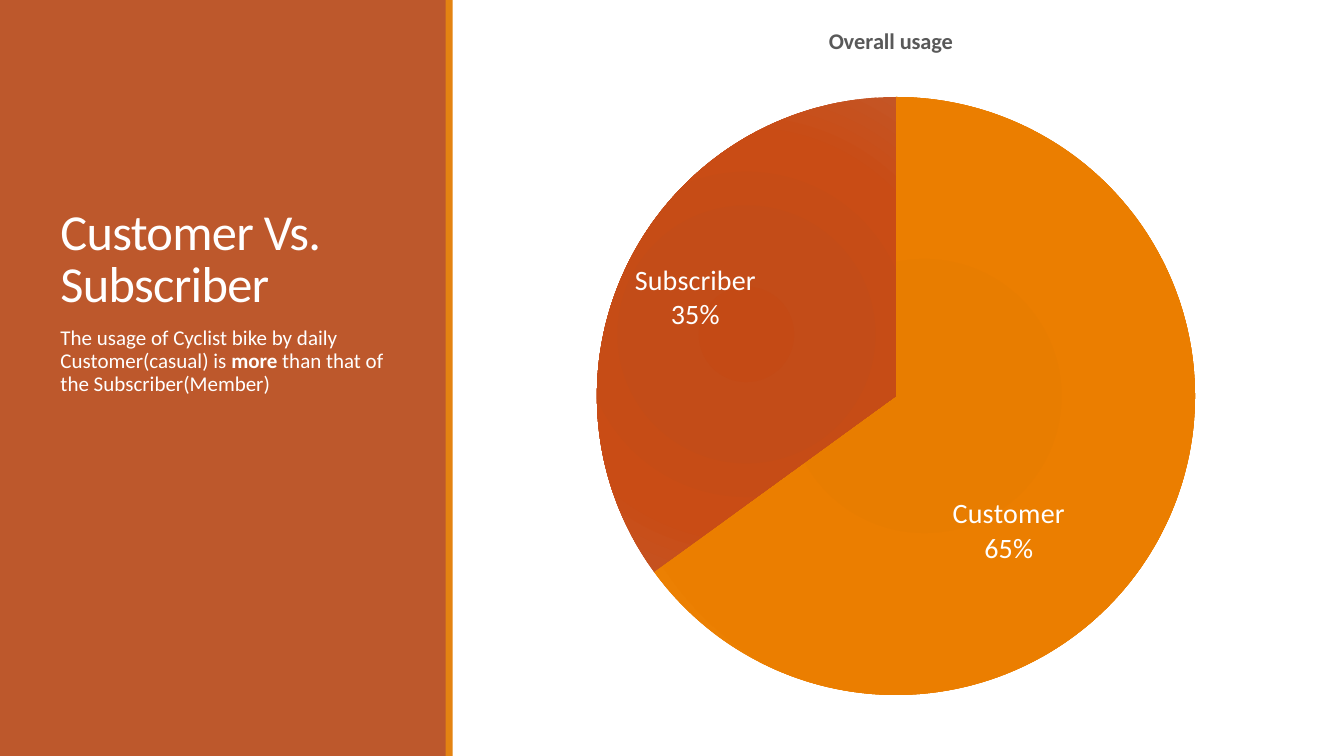
import pptx
import pptx.chart.data
import pptx.dml.color
import pptx.enum.chart
import pptx.enum.shapes
import pptx.enum.text
import pptx.oxml
import pptx.oxml.ns
import pptx.util
from pptx.util import Inches, Pt

RGBColor = pptx.dml.color.RGBColor
WHITE = RGBColor(0xFF, 0xFF, 0xFF)
RUST = RGBColor(0xBD, 0x58, 0x2C)
ORANGE = RGBColor(0xE4, 0x83, 0x12)
GRAY = RGBColor(0x59, 0x59, 0x59)
FONT = "Calibri"

TITLE = "Customer Vs. Subscriber"
BODY = [
    ("The usage of Cyclist bike by daily Customer(casual) is ", False),
    ("more", True),
    (" than that of the Subscriber(Member)", False),
]
PANELS = [(0, 4.43, RUST), (4.42, 0.07, ORANGE)]
CHART_TITLE = "Overall usage"
USAGE = {"Customer": 65, "Subscriber": 35}
STOPS = (0, 34, 70, 100)
SLICE_COLORS = [
    ("E57B00", "E87D00", "EB7E00", "EF8407"),
    ("C44A15", "C34C18", "C94C15", "C45525"),
]


def style(font, size, color, bold=False):
    """Set the typeface, size, colour and weight of a font."""
    font.name, font.size, font.bold = FONT, Pt(size), bold
    font.color.rgb = color


def place(sp, left, top, width, height, anchor):
    """Position a placeholder and return its text frame."""
    sp.left, sp.top, sp.width, sp.height = map(Inches, (left, top, width, height))
    tf = sp.text_frame
    tf.word_wrap = True
    tf.auto_size = pptx.enum.text.MSO_AUTO_SIZE.NONE
    tf.vertical_anchor = anchor
    tf.paragraphs[0].alignment = pptx.enum.text.PP_ALIGN.LEFT
    return tf


def xml(text):
    """Parse a fragment that uses the chart and drawing namespaces."""
    tag, rest = text.split(">", 1)
    return pptx.oxml.parse_xml(f"{tag} {pptx.oxml.ns.nsdecls('a', 'c')}>{rest}")


def layout(**values):
    """Return a manual chart layout."""
    items = "".join(f'<c:{k} val="{v}"/>' for k, v in values.items())
    return xml(f"<c:layout><c:manualLayout>{items}</c:manualLayout></c:layout>")


def radial(colors):
    """Return a circular gradient fill."""
    stops = "".join(
        f'<a:gs pos="{pos * 1000}"><a:srgbClr val="{color}"/></a:gs>'
        for pos, color in zip(STOPS, colors))
    return xml(
        f'<a:gradFill><a:gsLst>{stops}</a:gsLst><a:path path="circle">'
        '<a:fillToRect l="100000" t="100000" r="100000" b="100000"/>'
        "</a:path></a:gradFill>")


def add_panels(s):
    """Draw the side panel and its stripe behind the text."""
    for left, width, color in PANELS:
        sp = s.shapes.add_shape(
            pptx.enum.shapes.MSO_SHAPE.RECTANGLE,
            Inches(left), 0, Inches(width), Inches(7.5))
        sp.shadow.inherit = False
        sp.fill.solid()
        sp.fill.fore_color.rgb = color
        sp.line.fill.background()
        s.shapes.title.element.addprevious(sp.element)


def add_text(s):
    """Fill the title and body placeholders."""
    anchor = pptx.enum.text.MSO_ANCHOR
    tf = place(s.shapes.title, 0.5, 0.65, 3.5, 2.5, anchor.BOTTOM)
    p = tf.paragraphs[0]
    p.text = TITLE
    p.line_spacing = 0.85
    style(p.runs[0].font, 36, WHITE)
    p.runs[0].font._element.set("spc", "-50")

    tf = place(s.placeholders[1], 0.5, 3.2, 3.5, 3.7, anchor.TOP)
    p = tf.paragraphs[0]
    p.line_spacing, p.space_before, p.space_after = 0.9, Pt(12), Pt(2)
    pPr = p._p.get_or_add_pPr()
    pPr.set("marL", "0")
    pPr.set("indent", "0")
    pPr.append(xml("<a:buNone></a:buNone>"))
    for text, bold in BODY:
        r = p.add_run()
        r.text = text
        style(r.font, 15, WHITE, bold)


def add_pie(s):
    """Add the usage pie with its title, gradients and labels."""
    data = pptx.chart.data.CategoryChartData()
    data.categories = list(USAGE)
    data.add_series("Series 1", list(USAGE.values()))
    chart = s.shapes.add_chart(
        pptx.enum.chart.XL_CHART_TYPE.PIE,
        Inches(4.69), 0, Inches(8.31), Inches(7.29), data).chart
    chart.font.name, chart.font.size = FONT, Pt(10)
    chart.has_legend = False

    chart.has_title = True
    p = chart.chart_title.text_frame.paragraphs[0]
    p.text = CHART_TITLE
    style(p.runs[0].font, 16, GRAY, True)
    title = chart.chart_title._element
    for old in title.findall(pptx.oxml.ns.qn("c:layout")):
        title.remove(old)
    title.find(pptx.oxml.ns.qn("c:tx")).addnext(
        layout(xMode="edge", yMode="edge", x=0.42, y=0.03))

    plot = chart.plots[0]
    plot.vary_by_categories = True
    area = chart._chartSpace.chart.plotArea
    for old in area.findall(pptx.oxml.ns.qn("c:layout")):
        area.remove(old)
    area.insert(0, layout(layoutTarget="inner", xMode="edge", yMode="edge",
                          x=0.148, y=0.132, w=0.714, h=0.814))

    series = plot.series[0]
    for i, colors in enumerate(SLICE_COLORS):
        fmt = series.points[i].format
        fmt.line.fill.background()
        fmt._element.get_or_add_spPr().insert(0, radial(colors))

    inside = pptx.enum.chart.XL_LABEL_POSITION.INSIDE_END
    labels = series.data_labels
    labels.show_value = False
    labels.show_category_name = labels.show_percentage = True
    labels.number_format, labels.number_format_is_linked = "0%", False
    customer = series.points[0].data_label
    for item in (labels, customer):
        style(item.font, 20, WHITE)
        item.position = inside

    qn = pptx.oxml.ns.qn
    dLbl = labels._element.find(qn("c:dLbl"))
    dLbl.find(qn("c:idx")).addnext(layout(x=-0.11, y=0.05))
    for tag, val in (("showVal", "0"), ("showCatName", "1"), ("showPercent", "1")):
        dLbl.find(qn(f"c:{tag}")).set("val", val)
    for el in (labels._element, dLbl):
        el.find(qn("c:showBubbleSize")).addnext(
            xml("<c:separator>\n</c:separator>"))


def main():
    """Build the usage slide."""
    prs = pptx.Presentation()
    prs.slide_width, prs.slide_height = Inches(13.33), Inches(7.5)
    s = prs.slides.add_slide(prs.slide_layouts[1])
    add_panels(s)
    add_text(s)
    add_pie(s)
    prs.save("out.pptx")


if __name__ == "__main__":
    main()
